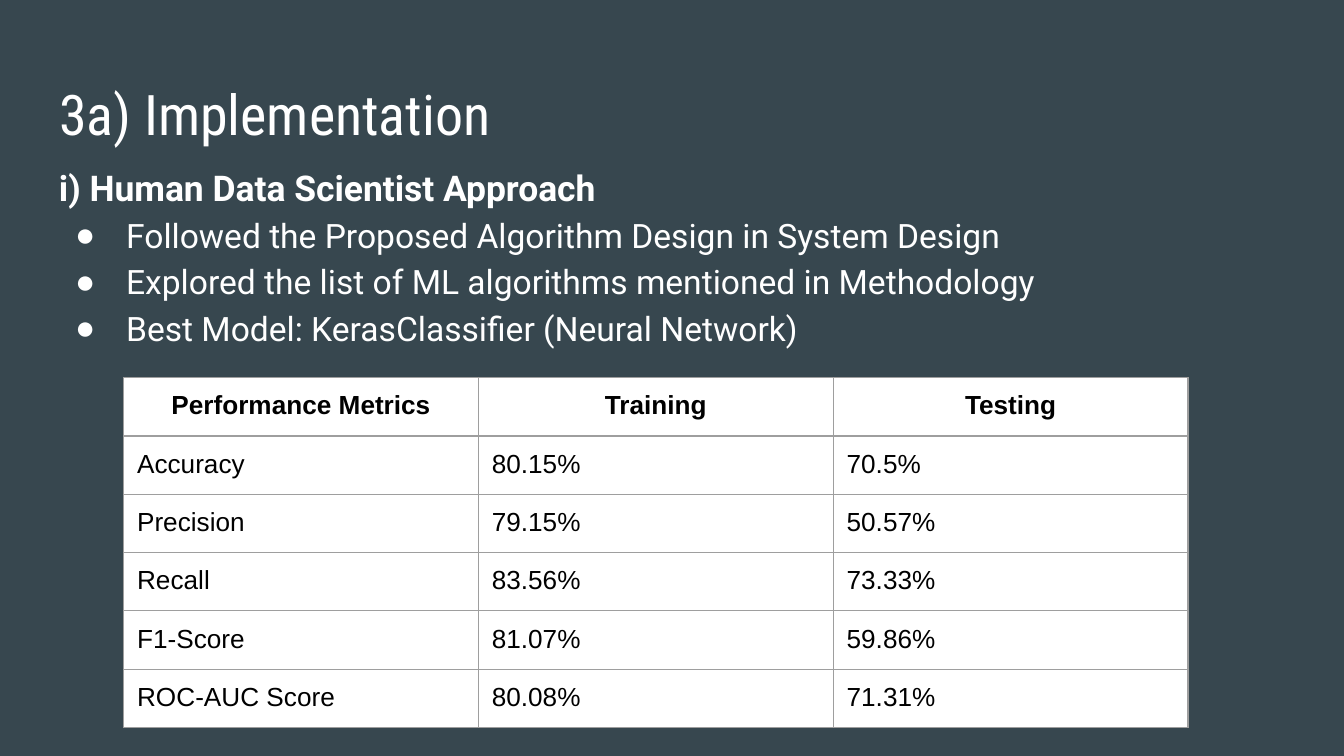
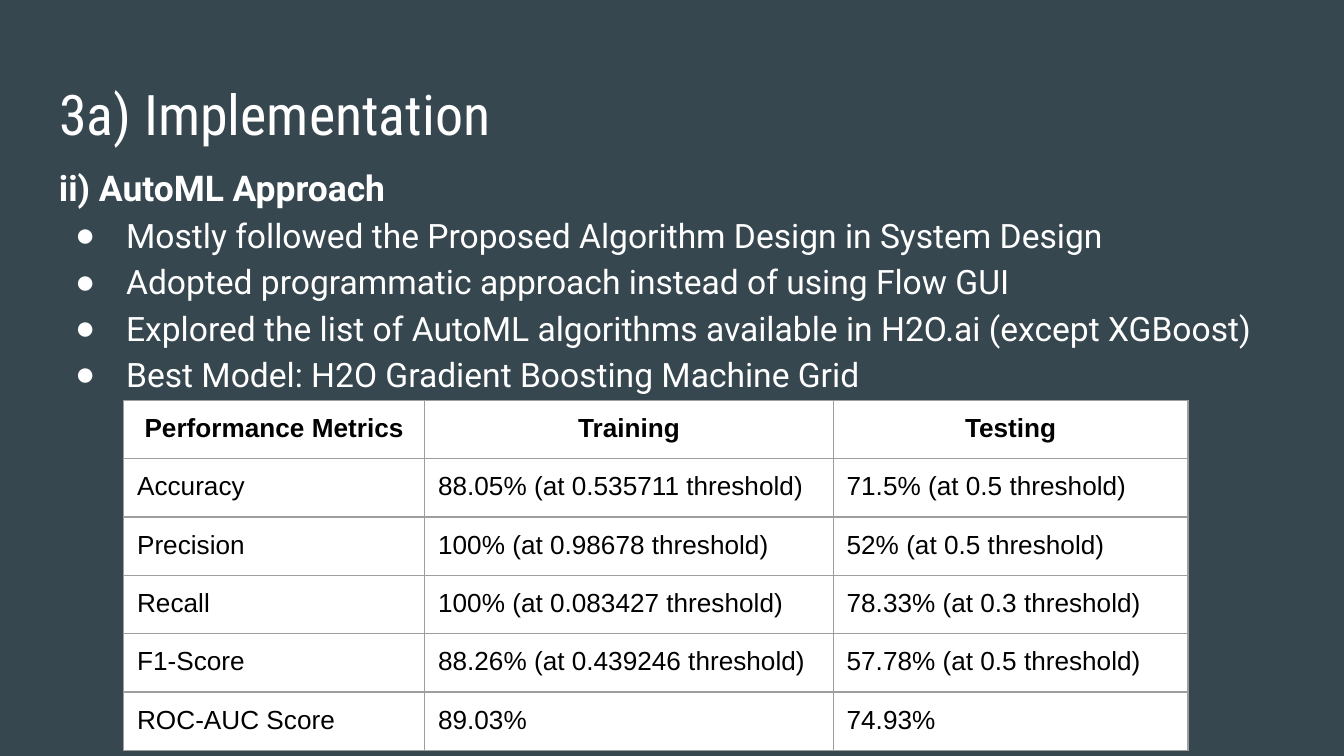
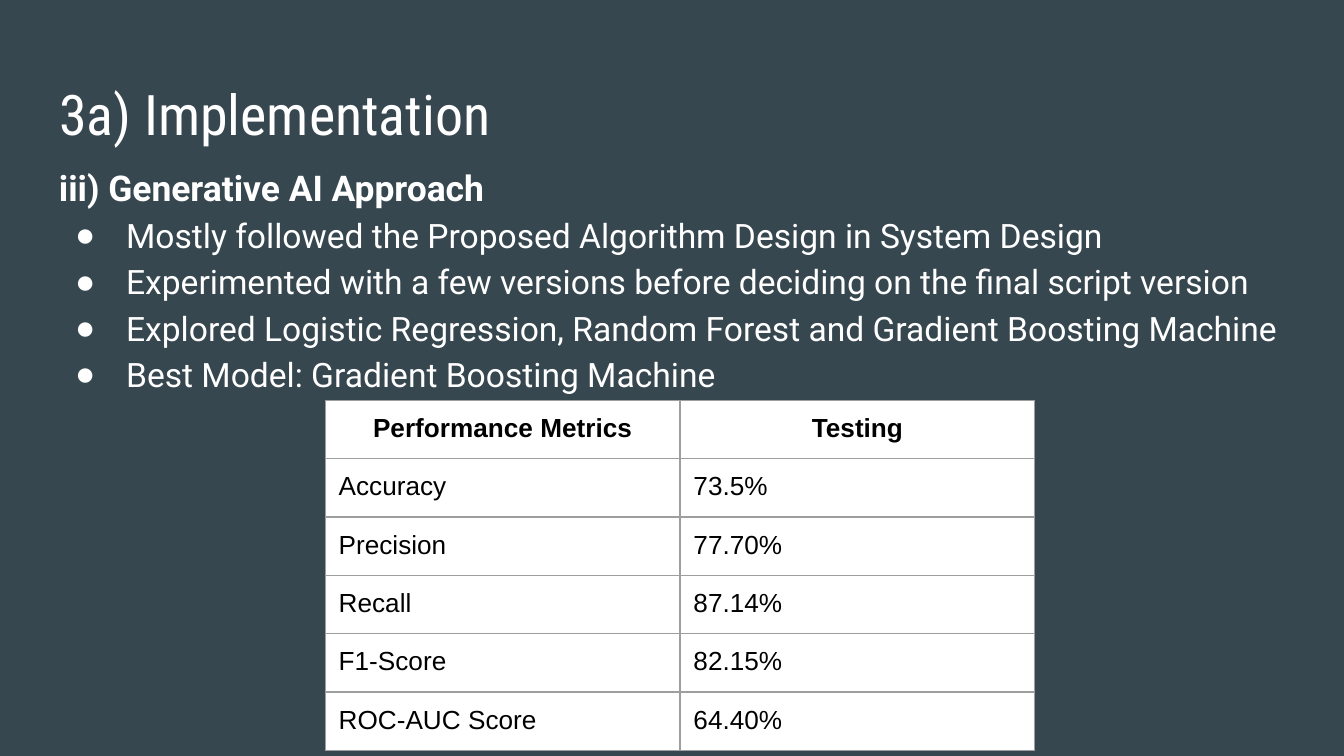
from lxml.etree import SubElement
from pptx import Presentation
from pptx.dml.color import RGBColor as RGB
from pptx.enum.text import MSO_ANCHOR as ANCHOR, MSO_AUTO_SIZE as AUTO, PP_ALIGN as ALIGN
from pptx.oxml.ns import qn
from pptx.util import Inches, Pt

COLORS = {"bg": "37474F", "light": "FFFFFF", "dark": "000000", "border": "9E9E9E"}
TITLE = {"name": "Roboto Condensed", "size": Pt(30), "bold": False}
HEADING = {"name": "Roboto", "size": Pt(19), "bold": True}
BULLET = {"name": "Roboto", "size": Pt(18), "bold": False}
HEADER = {"name": "Arial", "size": Pt(14), "bold": True}
VALUE = {**HEADER, "bold": False}
FRAME = {"margin_left": Inches(0.1), "margin_right": Inches(0.1),
         "margin_top": Inches(0.1), "margin_bottom": Inches(0.1),
         "vertical_anchor": ANCHOR.TOP}

SLIDE_TITLE = "3a) Implementation"
METRICS = ["Accuracy", "Precision", "Recall", "F1-Score", "ROC-AUC Score"]
COL_W = 2.64
ROW_H = 5 / 12
TABLE_H = 2.6

APPROACHES = [
    {
        "heading": "i) Human Data Scientist Approach",
        "bullets": [
            "Followed the Proposed Algorithm Design in System Design",
            "Explored the list of ML algorithms mentioned in Methodology",
            "Best Model: KerasClassifier (Neural Network)",
        ],
        "scores": {
            "Training": ["80.15%", "79.15%", "83.56%", "81.07%", "80.08%"],
            "Testing": ["70.5%", "50.57%", "73.33%", "59.86%", "71.31%"],
        },
        "at": (0.92, 2.81),
        "widths": [COL_W] * 3,
    },
    {
        "heading": "ii) AutoML Approach",
        "bullets": [
            "Mostly followed the Proposed Algorithm Design in System Design",
            "Adopted programmatic approach instead of using Flow GUI",
            "Explored the list of AutoML algorithms available in H2O.ai (except XGBoost)",
            "Best Model: H2O Gradient Boosting Machine Grid",
        ],
        "scores": {
            "Training": [
                "88.05% (at 0.535711 threshold)",
                "100% (at 0.98678 threshold)",
                "100% (at 0.083427 threshold)",
                "88.26% (at 0.439246 threshold)",
                "89.03%",
            ],
            "Testing": [
                "71.5% (at 0.5 threshold)",
                "52% (at 0.5 threshold)",
                "78.33% (at 0.3 threshold)",
                "57.78% (at 0.5 threshold)",
                "74.93%",
            ],
        },
        "at": (0.92, 2.98),
        "widths": [2.24, 3.04, COL_W],
    },
    {
        "heading": "iii) Generative AI Approach",
        "bullets": [
            "Mostly followed the Proposed Algorithm Design in System Design",
            "Experimented with a few versions before deciding on the final script version",
            "Explored Logistic Regression, Random Forest and Gradient Boosting Machine",
            "Best Model: Gradient Boosting Machine",
        ],
        "scores": {"Testing": ["73.5%", "77.70%", "87.14%", "82.15%", "64.40%"]},
        "at": (2.42, 2.98),
        "widths": [COL_W] * 2,
    },
]


def set_attrs(obj, values):
    for name, value in values.items():
        setattr(obj, name, value)


def fill_solid(fill, color):
    fill.solid()
    fill.fore_color.rgb = RGB.from_string(COLORS[color])


def write(p, text, style, color, align=ALIGN.LEFT):
    p.alignment = align
    r = p.add_run()
    r.text = text
    set_attrs(r.font, style)
    r.font.color.rgb = RGB.from_string(COLORS[color])


def add_bullet(p):
    pPr = p._p.get_or_add_pPr()
    pPr.set("marL", str(Inches(0.5)))
    pPr.set("indent", str(Inches(-0.38)))
    clr = SubElement(pPr, qn("a:buClr"))
    SubElement(clr, qn("a:srgbClr"), val=COLORS["light"])
    SubElement(pPr, qn("a:buFont"), typeface="Arial")
    SubElement(pPr, qn("a:buChar"), char="●")


def add_borders(cell):
    tcPr = cell._tc.get_or_add_tcPr()
    for side in ("lnL", "lnR", "lnT", "lnB"):
        ln = SubElement(tcPr, qn(f"a:{side}"), w=str(Pt(0.75)))
        fill = SubElement(ln, qn("a:solidFill"))
        SubElement(fill, qn("a:srgbClr"), val=COLORS["border"])


def add_title(s, text):
    sp = s.shapes.title
    set_attrs(sp, {"left": Inches(0.34), "top": Inches(0.49),
                   "width": Inches(9.32), "height": Inches(0.63)})
    tf = sp.text_frame
    set_attrs(tf, {**FRAME, "word_wrap": True, "auto_size": AUTO.NONE})
    write(tf.paragraphs[0], text, TITLE, "light")


def add_body(s, heading, bullets):
    sp = s.shapes.add_textbox(Inches(0.34), Inches(1.09), Inches(9.32), Inches(1.55))
    tf = sp.text_frame
    set_attrs(tf, {**FRAME, "word_wrap": True})
    p = tf.paragraphs[0]
    p.line_spacing = 1.15
    write(p, heading, HEADING, "light")
    for text in bullets:
        p = tf.add_paragraph()
        add_bullet(p)
        p.line_spacing = 1.15
        write(p, text, BULLET, "light")


def add_scores(s, scores, at, widths):
    rows = [["Performance Metrics", *scores], *zip(METRICS, *scores.values())]
    left, top = at
    sp = s.shapes.add_table(len(rows), len(widths), Inches(left), Inches(top),
                            Inches(sum(widths)), Inches(TABLE_H))
    table = sp.table
    for col, width in zip(table.columns, widths):
        col.width = Inches(width)
    for i, row in enumerate(rows):
        table.rows[i].height = Inches(ROW_H)
        style, align = (VALUE, ALIGN.LEFT) if i else (HEADER, ALIGN.CENTER)
        for j, text in enumerate(row):
            cell = table.cell(i, j)
            set_attrs(cell, FRAME)
            add_borders(cell)
            fill_solid(cell.fill, "light")
            write(cell.text_frame.paragraphs[0], text, style, "dark", align)
    sp.height = Inches(TABLE_H)


def main():
    prs = Presentation()
    prs.slide_width, prs.slide_height = Inches(10), Inches(10 * 9 / 16)
    fill_solid(prs.slide_master.background.fill, "bg")
    for approach in APPROACHES:
        s = prs.slides.add_slide(prs.slide_layouts[5])
        add_title(s, SLIDE_TITLE)
        add_body(s, approach["heading"], approach["bullets"])
        add_scores(s, approach["scores"], approach["at"], approach["widths"])
    prs.save("out.pptx")


if __name__ == "__main__":
    main()
